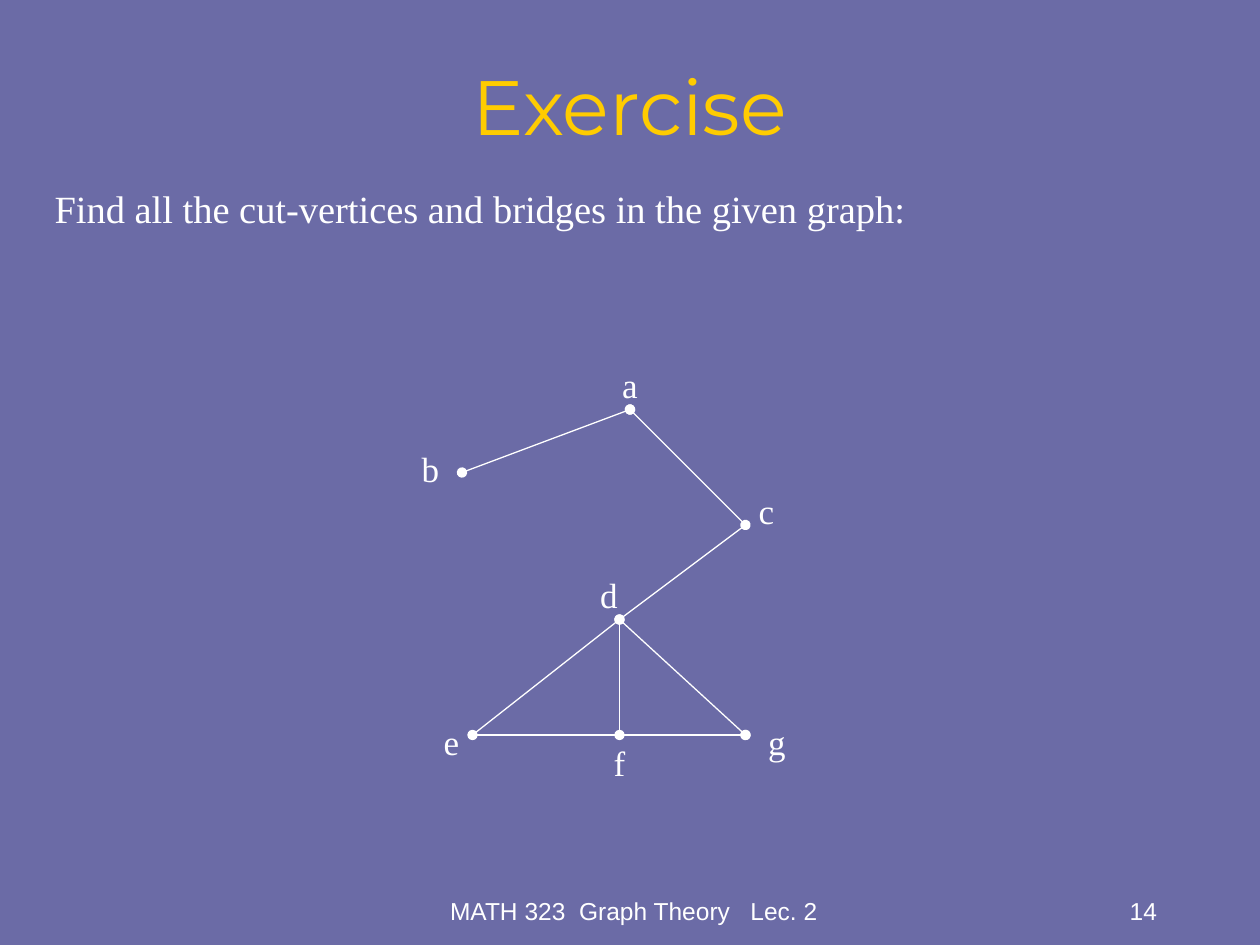
from dataclasses import dataclass

from lxml import etree
from pptx import Presentation
from pptx.dml.color import RGBColor
from pptx.enum.shapes import MSO_CONNECTOR
from pptx.enum.text import MSO_ANCHOR, MSO_AUTO_SIZE, PP_ALIGN
from pptx.oxml.ns import qn
from pptx.util import Emu, Pt

STRAIGHT = MSO_CONNECTOR.STRAIGHT
TOP, MIDDLE, BOTTOM = MSO_ANCHOR.TOP, MSO_ANCHOR.MIDDLE, MSO_ANCHOR.BOTTOM
LEFT, CENTER, RIGHT = PP_ALIGN.LEFT, PP_ALIGN.CENTER, PP_ALIGN.RIGHT
NO_AUTOFIT = MSO_AUTO_SIZE.NONE

EMU_PER_PX = 9525
PAGE_WIDTH, PAGE_HEIGHT = 960, 720
HANGING_INDENT = 64
LABEL_WIDTH, LABEL_HEIGHT = 48, 42


@dataclass(frozen=True)
class TextStyle:
    font: str
    size: int
    color: RGBColor


@dataclass(frozen=True)
class Theme:
    background = RGBColor(0x6B, 0x6B, 0xA6)
    ink = RGBColor(0xFF, 0xFF, 0xFF)
    gold = RGBColor(0xFF, 0xCC, 0x00)
    edge_width = 0.75
    title = TextStyle("Montserrat", 44, gold)
    body = TextStyle("Times New Roman", 22, ink)
    label = TextStyle("Times New Roman", 20, ink)
    footer = TextStyle("Arial", 14, ink)


THEME = Theme()

VERTICES = {
    "a": (480, 312),
    "b": (352, 360),
    "c": (568, 400),
    "d": (472, 472),
    "e": (360, 560),
    "f": (472, 560),
    "g": (568, 560),
}
LABEL_OFFSETS = {
    "a": (-24, -40),
    "b": (-48, -24),
    "c": (-8, -32),
    "d": (-32, -40),
    "e": (-40, -16),
    "f": (-24, 0),
    "g": (0, -16),
}
DOTTED_EDGES = ["eg", "dg", "df", "ca", "ab"]
PLAIN_EDGES = ["ed", "dc"]


def px(length):
    return Emu(length * EMU_PER_PX)


def place(shape, left, top, width, height):
    shape.left, shape.top = px(left), px(top)
    shape.width, shape.height = px(width), px(height)


def write_text(shape, text, style, align, anchor):
    frame = shape.text_frame
    frame.text = text
    frame.word_wrap = True
    frame.auto_size = NO_AUTOFIT
    frame.vertical_anchor = anchor
    para = frame.paragraphs[0]
    para.alignment = align
    para.space_before = Pt(0)
    for span in para.runs:
        span.font.name = style.font
        span.font.size = Pt(style.size)
        span.font.color.rgb = style.color
    return para


def add_text(page, bounds, text, style, align=CENTER, anchor=TOP):
    box = page.shapes.add_textbox(*map(px, bounds))
    write_text(box, text, style, align, anchor)


def fill_title(page, text):
    title = page.shapes.title
    place(title, 72, 40, 816, 80)
    write_text(title, text, THEME.title, CENTER, MIDDLE)


def fill_body(page, text):
    body = page.placeholders[1]
    place(body, 32, 136, 896, 496)
    para = write_text(body, text, THEME.body, LEFT, TOP)
    properties = para._p.get_or_add_pPr()
    properties.set("marL", str(px(HANGING_INDENT)))
    properties.set("indent", str(px(-HANGING_INDENT)))
    etree.SubElement(properties, qn("a:buNone"))


def add_edge(page, start, end, dotted):
    edge = page.shapes.add_connector(
        STRAIGHT, *map(px, VERTICES[start] + VERTICES[end])
    )
    edge.line.color.rgb = THEME.ink
    edge.line.width = Pt(THEME.edge_width)
    if dotted:
        line = edge.line._get_or_add_ln()
        for tag in ("a:headEnd", "a:tailEnd"):
            etree.SubElement(line, qn(tag), type="oval")
    etree.SubElement(edge._element.spPr, qn("a:effectLst"))


def add_vertex_label(page, name):
    x, y = VERTICES[name]
    dx, dy = LABEL_OFFSETS[name]
    bounds = (x + dx, y + dy, LABEL_WIDTH, LABEL_HEIGHT)
    add_text(page, bounds, name, THEME.label)


def add_graph(page):
    for start, end in DOTTED_EDGES:
        add_edge(page, start, end, dotted=True)
    for start, end in PLAIN_EDGES:
        add_edge(page, start, end, dotted=False)
    for name in VERTICES:
        add_vertex_label(page, name)


def add_footer(page, course, number):
    add_text(page, (331, 662, 304, 48), course, THEME.footer, CENTER, BOTTOM)
    add_text(page, (691, 662, 200, 48), number, THEME.footer, RIGHT, BOTTOM)


def main():
    deck = Presentation()
    deck.slide_width, deck.slide_height = px(PAGE_WIDTH), px(PAGE_HEIGHT)
    page = deck.slides.add_slide(deck.slide_layouts[1])
    page.background.fill.solid()
    page.background.fill.fore_color.rgb = THEME.background
    fill_title(page, "Exercise")
    fill_body(page, "Find all the cut-vertices and bridges in the given graph:")
    add_footer(page, "MATH 323  Graph Theory   Lec. 2", "14")
    add_graph(page)
    deck.save("out.pptx")


if __name__ == "__main__":
    main()
